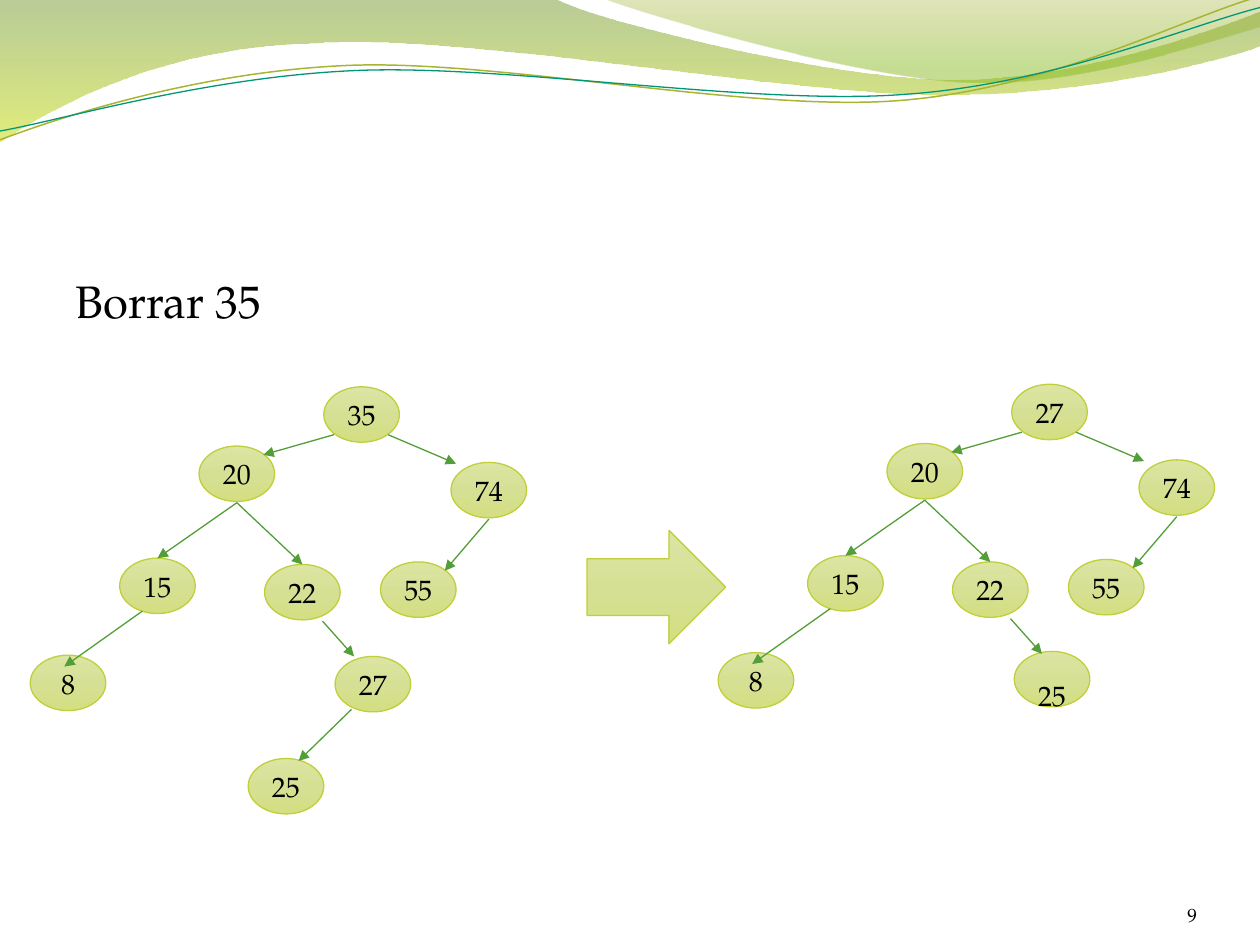
from dataclasses import dataclass

from lxml import etree
from pptx import Presentation
from pptx.dml.color import RGBColor
from pptx.enum.shapes import MSO_CONNECTOR, MSO_SHAPE
from pptx.enum.text import MSO_ANCHOR, PP_ALIGN
from pptx.oxml.ns import qn
from pptx.util import Inches, Pt

STRAIGHT = MSO_CONNECTOR.STRAIGHT
ELLIPSE, RIGHT_ARROW = MSO_SHAPE.OVAL, MSO_SHAPE.RIGHT_ARROW
TOP, MIDDLE, BOTTOM = MSO_ANCHOR.TOP, MSO_ANCHOR.MIDDLE, MSO_ANCHOR.BOTTOM
CENTER, RIGHT = PP_ALIGN.CENTER, PP_ALIGN.RIGHT


@dataclass(frozen=True)
class Theme:
    font: str = "TeX Gyre Pagella"
    text: str = "000000"
    outline: str = "C0CF3A"
    edge: str = "549E39"
    line_width: float = 0.75
    body_size: int = 26
    node_size: int = 16
    number_size: int = 11
    # Gradient stops: position, colour, opacity (all in percent)
    shape_fill: tuple = ((0, "DCE5A3", 100), (50, "D6E095", 100), (100, "D4DF81", 100))
    wave_fill: tuple = ((0, "668F1B", 45), (100, "CAE00E", 55))
    corner_fill: tuple = ((0, "99A719", 30), (80, "80B814", 45), (100, "80B814", 45))
    olive_line: str = "A8B532"
    teal_line: str = "029676"


THEME = Theme()

NODE_WIDTH, NODE_HEIGHT = 0.6, 0.44
AFTER_OFFSET = (5.46, -0.02)

# Nodes: value, left, top. Edges: start x, start y, end x, end y.
SHARED_NODES = [
    ("74", 3.58, 3.67), ("20", 1.58, 3.54), ("55", 3.02, 4.46),
    ("22", 2.1, 4.48), ("15", 0.95, 4.43), ("8", 0.24, 5.2),
]
SHARED_EDGES = [
    (2.65, 3.45, 2.09, 3.61), (3.08, 3.45, 3.62, 3.68),
    (1.88, 3.99, 1.25, 4.43), (1.88, 3.99, 2.4, 4.48),
    (3.88, 4.12, 3.53, 4.53), (2.56, 4.93, 2.81, 5.21),
    (1.13, 4.85, 0.51, 5.29),
]
BEFORE_NODES = [("35", 2.57, 3.07), ("27", 2.66, 5.21), ("25", 1.97, 6.02)]
BEFORE_EDGES = [(2.79, 5.63, 2.37, 6.04)]
AFTER_NODES = [("27", 2.57, 3.07), ("25", 2.59, 5.19)]

# Outlines: a point is a line to it, six numbers are a Bezier curve.
WAVE = [
    (0, 0), (4.4, -0.01), (4.75, 0.17, 6.63, 0.63, 7.58, 0.63),
    (8.53, 0.63, 9.58, 0.26, 10, 0.09), (10.01, 0.36),
    (9.83, 0.44, 8.69, 0.76, 7.46, 0.75), (6.22, 0.75, 3.81, 0.28, 2.57, 0.34),
    (1.29, 0.36, 0.46, 0.83, -0.01, 1.13),
]
CORNER = [
    (4.79, -0.01), (5.09, 0.11, 6.82, 0.62, 7.68, 0.65),
    (8.55, 0.69, 9.61, 0.32, 10, 0.21), (10, 0),
]
OLIVE_CURVE = [
    (0, 1.11), (0.48, 0.93, 1.57, 0.57, 2.76, 0.52),
    (3.95, 0.47, 5.92, 0.89, 7.12, 0.8), (8.33, 0.71, 9.38, 0.15, 9.97, -0.02),
]
TEAL_CURVE = [
    (0, 1.04), (0.47, 0.96, 1.63, 0.61, 2.83, 0.56),
    (4.02, 0.51, 5.97, 0.84, 7.17, 0.75), (8.36, 0.67, 9.41, 0.21, 10, 0.06),
]


def fill_gradient(shape, stops):
    """Fill from top to bottom, with opacity per stop."""
    shape.fill.gradient()
    shape.fill.gradient_angle = 270
    stop_list = shape._element.spPr.find(qn("a:gradFill")).find(qn("a:gsLst"))
    for stop in list(stop_list):
        stop_list.remove(stop)
    for position, color, opacity in stops:
        stop = etree.SubElement(stop_list, qn("a:gs"), pos=str(position * 1000))
        rgb = etree.SubElement(stop, qn("a:srgbClr"), val=color)
        if opacity < 100:
            etree.SubElement(rgb, qn("a:alpha"), val=str(opacity * 1000))


def set_line(shape, color, width=THEME.line_width):
    shape.line.color.rgb = RGBColor.from_string(color)
    shape.line.width = Pt(width)


def set_text(frame, text, size, alignment=None):
    paragraph = frame.paragraphs[0]
    paragraph.text = text
    paragraph.alignment = alignment
    paragraph.font.name = THEME.font
    paragraph.font.size = Pt(size)
    paragraph.font.color.rgb = RGBColor.from_string(THEME.text)


def add_outline(slide, outline, closed):
    """Build through the end points, then bend the segments that are curves."""
    points = [(Inches(segment[-2]), Inches(segment[-1])) for segment in outline]
    builder = slide.shapes.build_freeform(*points[0])
    builder.add_line_segments(points[1:], close=closed)
    shape = builder.convert_to_shape()
    shape.shadow.inherit = False
    lines = list(shape._element.spPr.iter(qn("a:lnTo")))
    for line, segment in zip(lines, outline[1:]):
        if len(segment) == 2:
            continue
        curve = etree.Element(qn("a:cubicBezTo"))
        for x, y in zip(segment[::2], segment[1::2]):
            etree.SubElement(curve, qn("a:pt"), x=str(Inches(x) - shape.left),
                             y=str(Inches(y) - shape.top))
        line.getparent().replace(line, curve)
    return shape


def add_area(slide, outline, stops):
    shape = add_outline(slide, outline, closed=True)
    fill_gradient(shape, stops)
    shape.line.fill.background()


def add_curve(slide, outline, color, width):
    shape = add_outline(slide, outline, closed=False)
    shape.fill.background()
    set_line(shape, color, width)


def add_preset(slide, kind, left, top, width, height):
    shape = slide.shapes.add_shape(
        kind, Inches(left), Inches(top), Inches(width), Inches(height))
    shape.shadow.inherit = False
    fill_gradient(shape, THEME.shape_fill)
    set_line(shape, THEME.outline)
    return shape


def add_node(slide, value, left, top):
    shape = add_preset(slide, ELLIPSE, left, top, NODE_WIDTH, NODE_HEIGHT)
    frame = shape.text_frame
    frame.word_wrap = False
    frame.vertical_anchor = MIDDLE
    set_text(frame, value, THEME.node_size, CENTER)
    return shape


def add_edge(slide, *ends):
    connector = slide.shapes.add_connector(STRAIGHT, *(Inches(end) for end in ends))
    set_line(connector, THEME.edge)
    properties = connector._element.spPr
    etree.SubElement(properties.find(qn("a:ln")), qn("a:tailEnd"), type="triangle")
    etree.SubElement(properties, qn("a:effectLst"))


def add_tree(slide, nodes, edges, offset=(0, 0)):
    """Draw nodes, then edges, and return the last node."""
    dx, dy = offset
    for value, left, top in nodes:
        node = add_node(slide, value, left + dx, top + dy)
    for x1, y1, x2, y2 in edges:
        add_edge(slide, x1 + dx, y1 + dy, x2 + dx, y2 + dy)
    return node


def add_body(slide, text):
    body = slide.placeholders[1]
    body.left, body.top, body.width, body.height = map(Inches, (0.5, 2.12, 9, 4.8))
    properties = body.text_frame.paragraphs[0]._p.get_or_add_pPr()
    properties.set("marL", "0")
    properties.set("indent", "0")
    etree.SubElement(properties, qn("a:buNone"))
    set_text(body.text_frame, text, THEME.body_size)
    body.text_frame.paragraphs[0].space_before = Pt(0)


def add_slide_number(slide, number):
    box = slide.shapes.add_textbox(Inches(8.67), Inches(6.95), Inches(0.83), Inches(0.4))
    frame = box.text_frame
    frame.word_wrap = True
    frame.vertical_anchor = BOTTOM
    frame.margin_left = frame.margin_right = frame.margin_top = frame.margin_bottom = 0
    set_text(frame, number, THEME.number_size, RIGHT)


def main():
    presentation = Presentation()
    presentation.slide_width, presentation.slide_height = Inches(10), Inches(7.5)
    slide = presentation.slides.add_slide(presentation.slide_layouts[1])
    title = slide.shapes.title._element
    title.getparent().remove(title)

    add_area(slide, WAVE, THEME.wave_fill)
    add_area(slide, CORNER, THEME.corner_fill)
    add_curve(slide, OLIVE_CURVE, THEME.olive_line, 0.85)
    add_curve(slide, TEAL_CURVE, THEME.teal_line, 0.75)
    add_body(slide, "Borrar 35")
    add_slide_number(slide, "9")
    add_preset(slide, RIGHT_ARROW, 4.66, 4.21, 1.1, 0.9)
    add_tree(slide, SHARED_NODES + BEFORE_NODES, SHARED_EDGES + BEFORE_EDGES)
    moved = add_tree(slide, SHARED_NODES + AFTER_NODES, SHARED_EDGES, AFTER_OFFSET)
    # The moved value sits low in its node
    moved.text_frame.vertical_anchor = TOP
    moved.text_frame.margin_top, moved.text_frame.margin_bottom = Inches(0.15), 0
    presentation.save("out.pptx")


if __name__ == "__main__":
    main()
